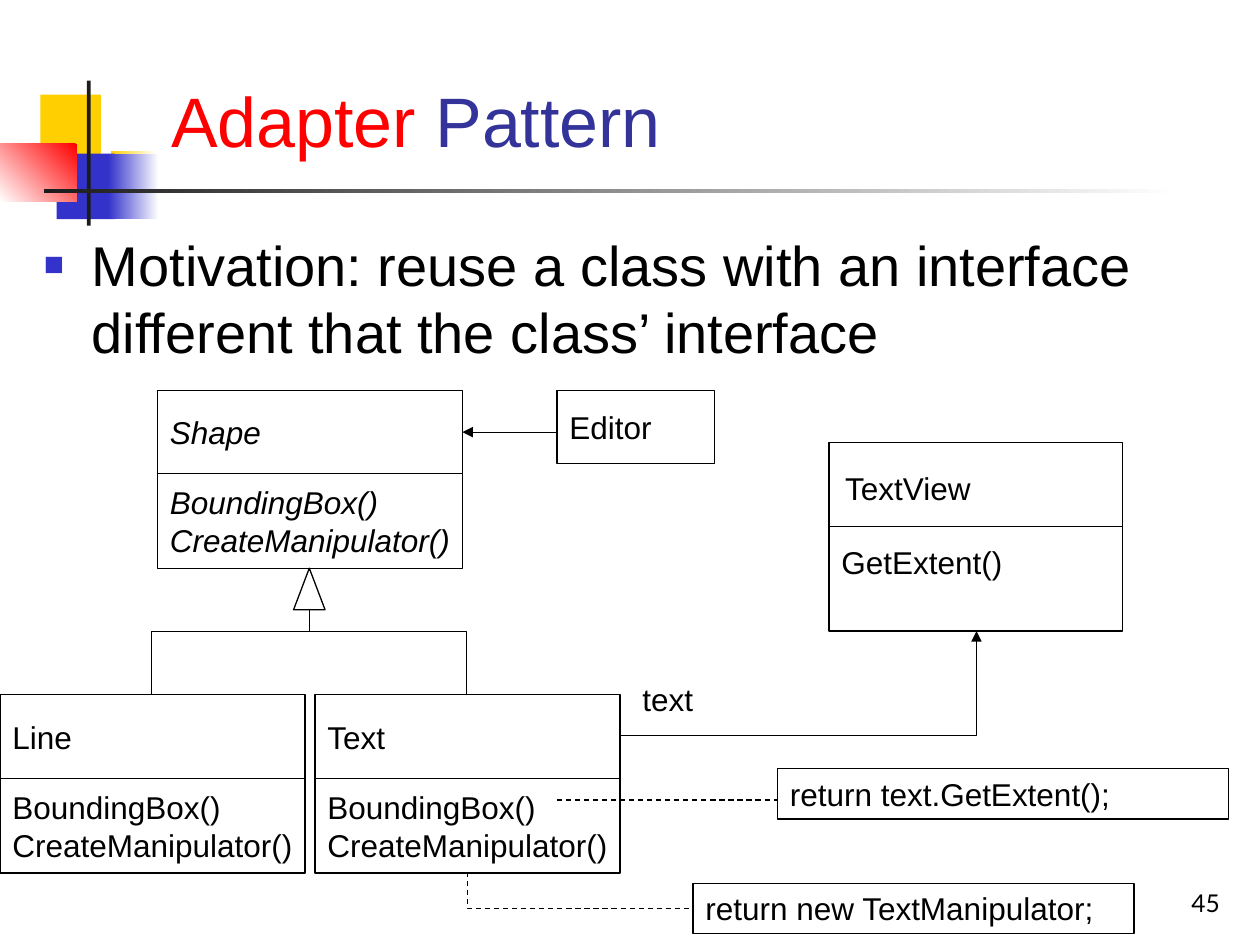
from dataclasses import dataclass
from typing import Optional

from lxml.etree import SubElement
from pptx import Presentation
from pptx.dml.color import RGBColor
from pptx.enum.dml import MSO_LINE
from pptx.enum.shapes import MSO_CONNECTOR, MSO_SHAPE
from pptx.enum.text import MSO_ANCHOR, PP_ALIGN
from pptx.oxml.ns import qn
from pptx.util import Inches, Pt

COLORS = {"white": "FFFFFF", "black": "000000", "yellow": "FFCF01", "blue": "3333CC",
          "red": "FF0000", "ink": "1C1C1C", "title": "333399"}
LABEL = {"name": "Arial", "size": Pt(18), "italic": False}


@dataclass
class Block:
    """Decorative rectangle; a second colour makes it a gradient."""
    area: tuple
    color: str
    fade_to: Optional[str] = None
    angle: int = 180


@dataclass
class ClassBox:
    left: float
    top: float
    width: float
    head: float
    body: float
    name: str
    methods: str = ""
    italic: bool = False
    body_inset: Optional[float] = None  # set when methods hang from the top


@dataclass
class Elbow:
    area: tuple
    preset: str
    rotation: int = 0
    flip: str = ""
    arrow: bool = False
    dashed: bool = False


@dataclass
class Note:
    area: tuple
    words: str
    framed: bool = False


def rgb(name: str) -> RGBColor:
    return RGBColor.from_string(COLORS[name])


def write(box, spans: list, font: dict, anchor=MSO_ANCHOR.TOP, wrap: bool = True,
          align=PP_ALIGN.LEFT):
    """Fill the first paragraph with (words, colour) spans."""
    frame = box.text_frame
    frame.word_wrap = wrap
    frame.vertical_anchor = anchor
    para = frame.paragraphs[0]
    para.alignment = align
    for words, color in spans:
        for number, line in enumerate(words.split("\n")):
            if number:
                para.add_line_break()
            span = para.add_run()
            span.text = line
            for key, value in font.items():
                setattr(span.font, key, value)
            span.font.color.rgb = rgb(color)
    return para


def add_text(page, area: tuple, spans: list, font: dict, **layout):
    return write(page.shapes.add_textbox(*map(Inches, area)), spans, font, **layout)


def add_outlined(page, area: tuple, preset=MSO_SHAPE.RECTANGLE):
    box = page.shapes.add_shape(preset, *map(Inches, area))
    box.shadow.inherit = False
    box.fill.solid()
    box.fill.fore_color.rgb = rgb("white")
    box.line.color.rgb = rgb("black")
    box.line.width = Pt(0.75)
    return box


def add_block(page, block: Block) -> None:
    box = page.shapes.add_shape(MSO_SHAPE.RECTANGLE, *map(Inches, block.area))
    box.shadow.inherit = False
    box.line.fill.background()
    if block.fade_to is None:
        box.fill.solid()
        box.fill.fore_color.rgb = rgb(block.color)
        return
    box.fill.gradient()
    box.fill.gradient_angle = block.angle
    for stop, color in zip(box.fill.gradient_stops, (block.color, block.fade_to)):
        stop.color.rgb = rgb(color)


def add_class(page, item: ClassBox):
    """Draw the name and method compartments; return the name compartment."""
    head = add_outlined(page, (item.left, item.top, item.width, item.head))
    font = LABEL | {"italic": item.italic}
    if item.name:
        write(head, [(item.name, "black")], font, MSO_ANCHOR.MIDDLE, False)
    if item.methods:
        body = add_outlined(page, (item.left, item.top + item.head, item.width, item.body))
        anchor = MSO_ANCHOR.MIDDLE
        if item.body_inset is not None:
            body.text_frame.margin_top = Inches(item.body_inset)
            anchor = MSO_ANCHOR.TOP
        write(body, [(item.methods, "black")], font, anchor, False)
    return head


def add_line(page, kind, start: tuple, end: tuple, arrow: bool = False, dashed: bool = False):
    line = page.shapes.add_connector(kind, *map(Inches, start + end))
    line.line.color.rgb = rgb("black")
    line.line.width = Pt(0.75)
    if dashed:
        line.line.dash_style = MSO_LINE.DASH
    if arrow:
        SubElement(line.line._get_or_add_ln(), qn("a:tailEnd"), type="triangle")
    SubElement(line._element.spPr, qn("a:effectLst"))
    return line


def add_elbow(page, elbow: Elbow) -> None:
    left, top, width, height = elbow.area
    line = add_line(page, MSO_CONNECTOR.ELBOW, (left, top), (left + width, top + height),
                    elbow.arrow, elbow.dashed)
    properties = line._element.spPr
    properties.find(qn("a:prstGeom")).set("prst", elbow.preset)
    transform = properties.find(qn("a:xfrm"))
    transform.set("rot", str(elbow.rotation * 60000))
    if elbow.flip:
        transform.set(elbow.flip, "1")


def add_bullet(para) -> None:
    properties = para._p.get_or_add_pPr()
    indent = Inches(0.38)
    properties.set("marL", str(indent))
    properties.set("indent", str(-indent))
    color = SubElement(properties, qn("a:buClr"))
    SubElement(color, qn("a:srgbClr"), val=COLORS["blue"])
    SubElement(properties, qn("a:buSzPct"), val="60000")
    SubElement(properties, qn("a:buFont"), typeface="Arial")
    SubElement(properties, qn("a:buChar"), char="■")


BLOCKS = [
    Block((0.32, 0.75, 0.48, 0.52), "yellow"),
    Block((0.88, 1.2, 0.36, 0.52), "white", "yellow"),
    Block((0.45, 1.22, 0.46, 0.52), "blue"),
    Block((0.86, 1.22, 0.4, 0.52), "white", "blue"),
    Block((0, 1.14, 0.61, 0.46), "red", "white", 225),
    Block((0.69, 0.64, 0.03, 1.15), "ink"),
    Block((0.35, 1.5, 9, 0.03), "white", "ink"),
]
METHODS = "BoundingBox()\nCreateManipulator()"
CLASSES = [
    ClassBox(1.25, 3.1, 2.42, 0.66, 0.75, "Shape", METHODS, italic=True),
    ClassBox(2.5, 5.51, 2.42, 0.67, 0.75, "Text", METHODS),
    ClassBox(0, 5.51, 2.42, 0.67, 0.75, "Line", METHODS),
    ClassBox(6.58, 3.51, 2.33, 0.67, 0.83, "", "GetExtent()", body_inset=0.13),
    ClassBox(4.42, 3.1, 1.25, 0.58, 0, "Editor"),
]
ELBOWS = [
    Elbow((1.33, 4.39, 1, 1.25), "bentConnector3", 90),
    Elbow((2.58, 4.39, 1, 1.25), "bentConnector3", 270, "flipV"),
    Elbow((4.92, 5.01, 2.83, 0.83), "bentConnector2", flip="flipV", arrow=True),
    Elbow((4.46, 6.17, 0.29, 1.79), "bentConnector2", 270, "flipH", dashed=True),
]
NOTES = [
    Note((6.61, 3.67, 1.23, 0.4), "TextView"),
    Note((5, 5.35, 0.92, 0.4), "text"),
    Note((6.17, 6.1, 3.58, 0.4), "return text.GetExtent();", True),
    Note((5.5, 7.01, 3.5, 0.4), "return new TextManipulator;", True),
]


def main() -> None:
    deck = Presentation()
    deck.slide_width, deck.slide_height = Inches(10), Inches(7.5)
    page = deck.slides.add_slide(deck.slide_layouts[6])

    # Corner decoration, title, bullet and page number
    for block in BLOCKS:
        add_block(page, block)
    add_text(page, (1.26, 0.23, 8.52, 1.1), [("Adapter", "red"), (" Pattern", "title")],
             LABEL | {"size": Pt(40)}, anchor=MSO_ANCHOR.BOTTOM)
    motivation = "Motivation: reuse a class with an interface different that the class’ interface"
    add_bullet(add_text(page, (0.25, 1.78, 9.54, 4.93), [(motivation, "black")],
                        LABEL | {"size": Pt(32)}))
    add_text(page, (7.7, 6.83, 2.08, 0.5), [("45", "black")],
             {"name": "Lato", "size": Pt(14)}, anchor=MSO_ANCHOR.BOTTOM, align=PP_ALIGN.RIGHT)

    # Classes and their relations
    heads = {item.name: add_class(page, item) for item in CLASSES}
    for elbow in ELBOWS:
        add_elbow(page, elbow)
    add_outlined(page, (2.33, 4.51, 0.25, 0.33), MSO_SHAPE.ISOSCELES_TRIANGLE)
    uses = add_line(page, MSO_CONNECTOR.STRAIGHT, (4.42, 3.43), (3.67, 3.43), arrow=True)
    uses.end_connect(heads["Shape"], 3)
    add_line(page, MSO_CONNECTOR.STRAIGHT, (4.42, 6.35), (6.17, 6.35), dashed=True)

    # Labels and code notes
    for note in NOTES:
        if note.framed:
            frame = add_outlined(page, note.area)
            frame.fill.background()
            write(frame, [(note.words, "black")], LABEL)
        else:
            add_text(page, note.area, [(note.words, "black")], LABEL)

    deck.save("out.pptx")


if __name__ == "__main__":
    main()
